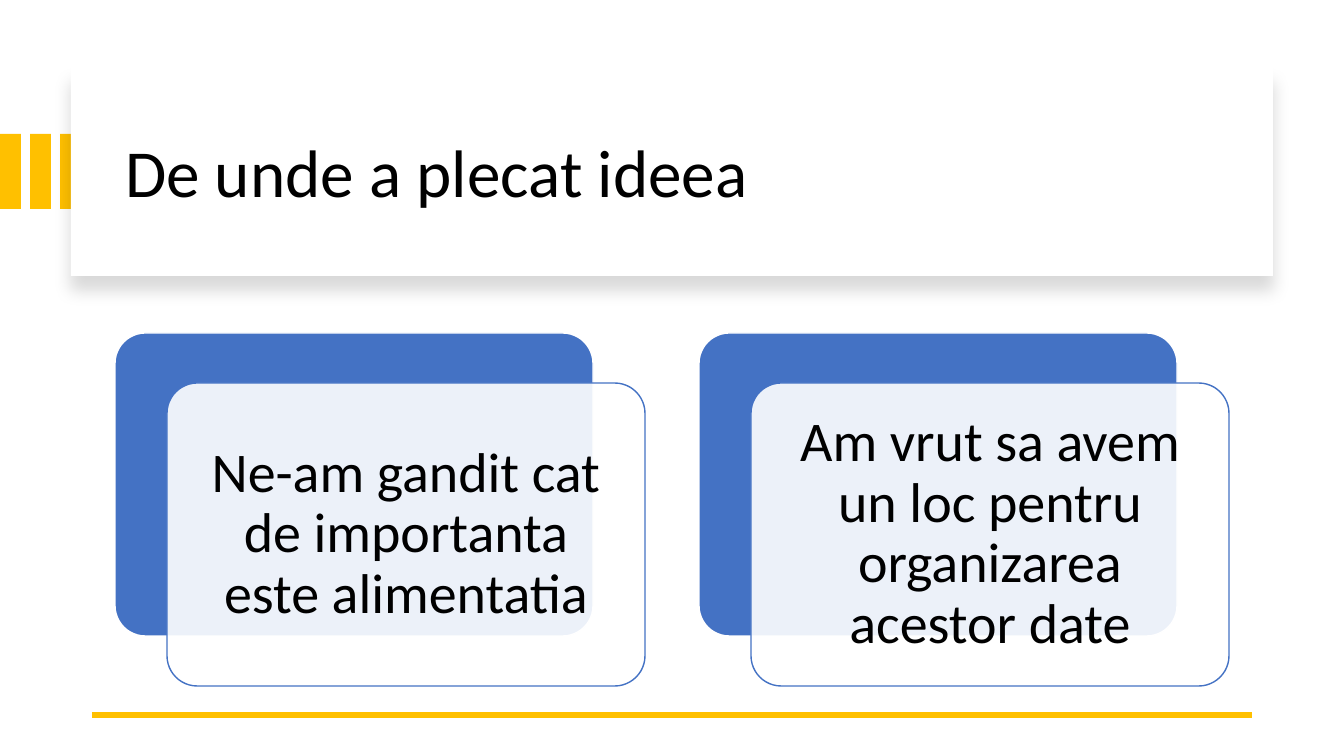
from lxml import etree
from pptx import Presentation
from pptx import util as u
from pptx.dml.color import RGBColor
from pptx.enum import shapes, text
from pptx.oxml import parse_xml
from pptx.oxml.ns import nsdecls, qn

SCALE = 12192000 / 1344
GOLD = RGBColor(0xFF, 0xC0, 0x00)
BLUE = RGBColor(0x44, 0x72, 0xC4)
WHITE = RGBColor(0xFF, 0xFF, 0xFF)
BLACK = RGBColor(0x00, 0x00, 0x00)
SHADOW = (
    f'<a:effectLst {nsdecls("a")}><a:outerShdw blurRad="139700" dist="127000" '
    'dir="5400000" algn="t" rotWithShape="0"><a:srgbClr val="000000">'
    '<a:alpha val="15000"/></a:srgbClr></a:outerShdw></a:effectLst>'
)


def px(pixels):
    """Turn pixels into EMU."""
    return u.Emu(round(pixels * SCALE))


def assign(target, values):
    """Set every attribute in values on target."""
    for name, value in values.items():
        setattr(target, name, value)


class Deck:
    """Hold the style and the current slide."""

    font = "Calibri"

    def __init__(self):
        """Start a widescreen deck with one title-only slide."""
        self.presentation = Presentation()
        assign(self.presentation, {"slide_width": px(1344), "slide_height": px(756)})
        self.slide = self.presentation.slides.add_slide(self.presentation.slide_layouts[5])

    def fill_text(self, frame, words, size, align, inset=10):
        """Fill a text frame with one formatted paragraph."""
        sides = ("left", "right", "top", "bottom")
        assign(frame, {f"margin_{side}": px(inset) for side in sides})
        assign(frame, {"word_wrap": True, "auto_size": text.MSO_AUTO_SIZE.NONE,
                       "vertical_anchor": text.MSO_ANCHOR.MIDDLE, "text": words})
        paragraph = frame.paragraphs[0]
        assign(paragraph, {"alignment": align, "line_spacing": 0.9})
        assign(paragraph.font, {"name": self.font, "size": u.Pt(size)})
        paragraph.font.color.rgb = BLACK

    def title(self, words, left, top, width, height):
        """Move the title placeholder to the front and fill it."""
        heading = self.slide.shapes.title
        assign(heading, {"left": px(left), "top": px(top),
                         "width": px(width), "height": px(height)})
        heading.element.getparent().append(heading.element)
        self.fill_text(heading.text_frame, words, 48, text.PP_ALIGN.LEFT)

    def box(self, left, top, width, height, fill, line=None, rounding=None):
        """Add a plain or rounded rectangle without a shadow."""
        kind = shapes.MSO_SHAPE
        preset = kind.RECTANGLE if rounding is None else kind.ROUNDED_RECTANGLE
        shape = self.slide.shapes.add_shape(preset, *map(px, (left, top, width, height)))
        shape.shadow.inherit = False
        shape.fill.solid()
        shape.fill.fore_color.rgb = fill
        if rounding is not None:
            shape.adjustments[0] = rounding
        if line is None:
            shape.line.fill.background()
        else:
            shape.line.color.rgb = line
            shape.line.width = u.Pt(1)
        return shape

    def panel(self, *area):
        """Add a white panel with a soft shadow below."""
        properties = self.box(*area, WHITE).element.spPr
        properties.replace(properties.find(qn("a:effectLst")), parse_xml(SHADOW))

    def card(self, words, left, top):
        """Add a blue card with an offset translucent card of text."""
        width, height = 478, 303
        self.box(left, top, width, height, BLUE, WHITE, 0.1)
        front = self.box(left + 52, top + 50, width, height, WHITE, BLUE, 0.1)
        color = front.element.spPr.find(qn("a:solidFill"))[0]
        etree.SubElement(color, qn("a:alpha")).set("val", "90000")
        self.fill_text(front.text_frame, words, 40, text.PP_ALIGN.CENTER, 26)

    def rule(self, left, right, y):
        """Add a horizontal gold line."""
        line = self.slide.shapes.add_connector(
            shapes.MSO_CONNECTOR.STRAIGHT, *map(px, (left, y, right, y)))
        line.line.color.rgb = GOLD
        line.line.width = u.Pt(4.5)
        etree.SubElement(line.element.spPr, qn("a:effectLst"))


deck = Deck()
for stripe in range(3):
    deck.box(stripe * 30, 134, 21, 75, GOLD)
deck.panel(71, 67, 1202, 209)
deck.title("De unde a plecat ideea", 115, 90, 1122, 171)
deck.rule(92, 1252, 715)
ideas = ("Ne-am gandit cat de importanta este alimentatia",
         "Am vrut sa avem un loc pentru organizarea acestor date")
for column, idea in enumerate(ideas):
    deck.card(idea, 115 + column * 584, 333)
deck.presentation.save("out.pptx")
